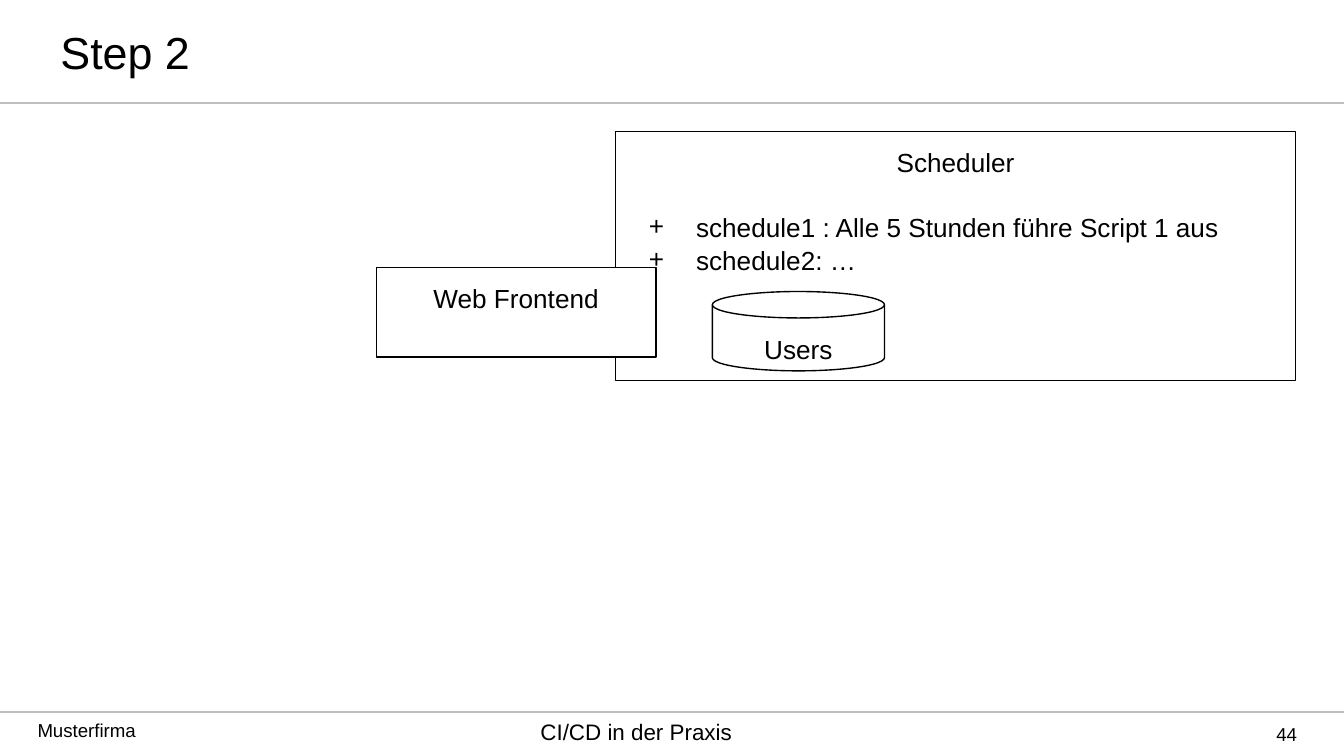
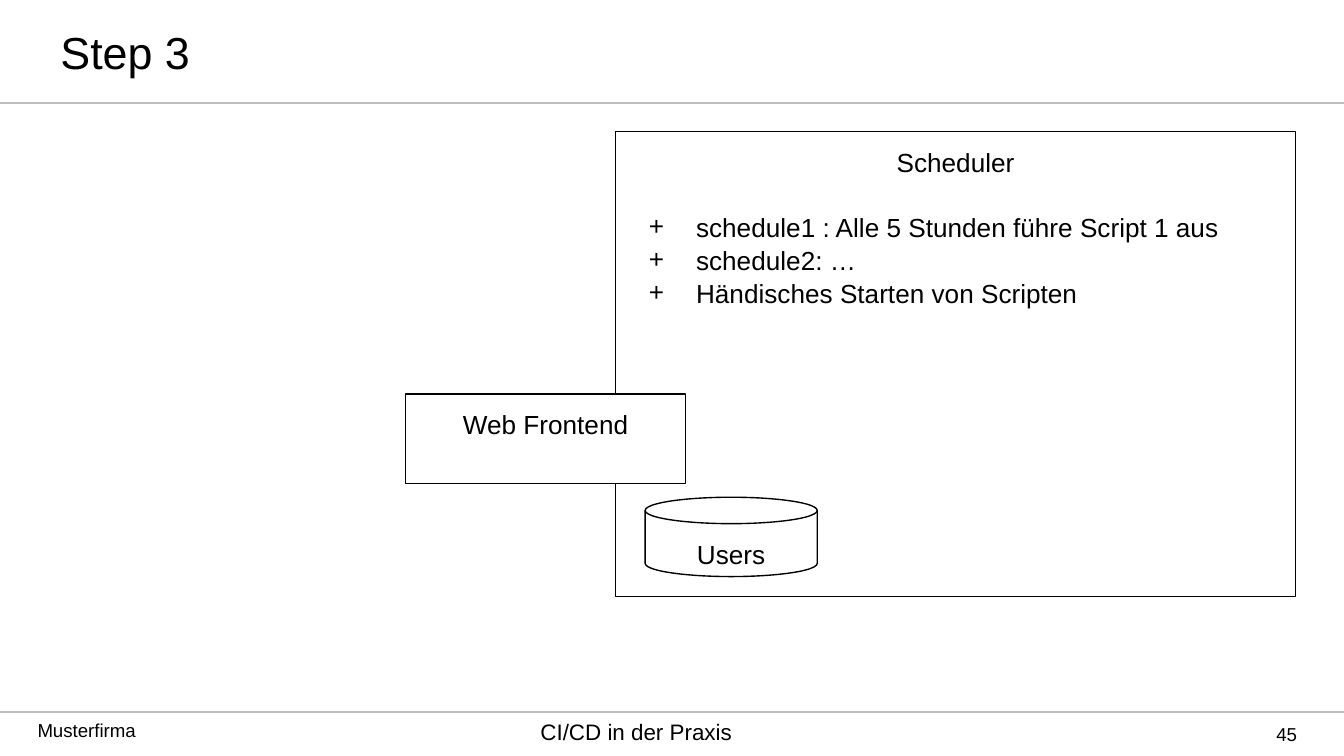
import pptx
import pptx.dml.color
import pptx.enum.shapes
import pptx.enum.text
import pptx.oxml
import pptx.oxml.ns
import pptx.util

Pt = pptx.util.Pt
Align = pptx.enum.text.PP_ALIGN
Anchor = pptx.enum.text.MSO_ANCHOR
Form = pptx.enum.shapes.MSO_SHAPE
BLACK = pptx.dml.color.RGBColor(0, 0, 0)
WHITE = pptx.dml.color.RGBColor(255, 255, 255)
GREY = pptx.dml.color.RGBColor(191, 191, 191)
FONT = "Arial"
NS = pptx.oxml.ns.nsdecls("a")


def write(shape, text, size, align, anchor, inset):
    frame = shape.text_frame
    frame.text = text
    frame.word_wrap = True
    frame.vertical_anchor = anchor
    frame.margin_left = frame.margin_right = Pt(inset[0])
    frame.margin_top = frame.margin_bottom = Pt(inset[1])
    for par in frame.paragraphs:
        par.alignment = align
        for run in par.runs:
            run.font.size = Pt(size)
            run.font.name = FONT
            run.font.color.rgb = BLACK


def box(slide, form, place, text):
    shape = slide.shapes.add_shape(form, *map(Pt, place))
    shape.shadow.inherit = False
    shape.fill.solid()
    shape.fill.fore_color.rgb = WHITE
    shape.line.color.rgb = BLACK
    shape.line.width = Pt(0.75)
    write(shape, text, 14, Align.CENTER, Anchor.TOP, (7.2, 7.2))
    for par in shape.text_frame.paragraphs:
        par.line_spacing = 1.05
    return shape


deck = pptx.Presentation()
deck.slide_width, deck.slide_height = Pt(720), Pt(405)
layout = deck.slide_layouts.get_by_name("Title Only")
for holder in list(layout.placeholders):
    if holder.placeholder_format.idx:
        layout.shapes.element.remove(holder.element)
    else:
        holder.left, holder.top = Pt(25.2), Pt(0)
        holder.width, holder.height = Pt(447.8), Pt(55.4)

tasks = ["schedule1 : Alle 5 Stunden führe Script 1 aus", "schedule2: …"]
steps = [
    ("Step 2", 44, tasks, 133.2, (201.6, 143.2), (381.6, 156.2)),
    ("Step 3", 45, tasks + ["Händisches Starten von Scripten"],
     249.1, (217.4, 211), (345.6, 266.4)),
]

for title, page, items, height, front, users in steps:
    slide = deck.slides.add_slide(layout)
    write(slide.shapes.title, title, 24, Align.LEFT, Anchor.MIDDLE, (7.2, 3.6))

    if slide == deck.slides[0]:
        for y in (381.6, 55.4):
            rule = slide.shapes.add_connector(
                pptx.enum.shapes.MSO_CONNECTOR.STRAIGHT, Pt(0), Pt(y), Pt(720), Pt(y))
            rule.line.color.rgb = GREY
            rule.line.width = Pt(1)
            rule.element.spPr.append(pptx.oxml.parse_xml(f"<a:effectLst {NS}/>"))
            layout.shapes.element.append(rule.element)
        for place, text, size, align in [
            ((13, 385.2, 140.4, 15.8), "Musterfirma", 10, Align.LEFT),
            ((228.2, 384.5, 225.4, 23.8), "CI/CD in der Praxis", 12, Align.CENTER),
        ]:
            note = slide.shapes.add_textbox(*map(Pt, place))
            write(note, text, size, align, Anchor.TOP, (7.2, 0))
            layout.shapes.element.append(note.element)

    number = slide.shapes.add_textbox(Pt(630), Pt(381.6), Pt(64.8), Pt(23.8))
    write(number, str(page), 10, Align.RIGHT, Anchor.MIDDLE, (0, 0))

    plan = box(slide, Form.RECTANGLE, (329.8, 70.6, 364.3, height),
               "\n".join(["Scheduler"] + items))
    head, *points = plan.text_frame.paragraphs
    head.space_after = Pt(16.9)
    for point in points:
        point.alignment = Align.LEFT
        props = point._p.get_or_add_pPr()
        props.set("marL", str(Pt(36)))
        props.set("indent", str(Pt(-25.2)))
        for mark in (f'<a:buClr {NS}><a:srgbClr val="{BLACK}"/></a:buClr>',
                     f'<a:buFont {NS} typeface="{FONT}"/>',
                     f'<a:buChar {NS} char="+"/>'):
            props.append(pptx.oxml.parse_xml(mark))

    box(slide, Form.RECTANGLE, (*front, 149.8, 48.2), "Web Frontend")
    box(slide, Form.FLOWCHART_MAGNETIC_DISK, (*users, 92.2, 42.5), "Users")

deck.save("out.pptx")
